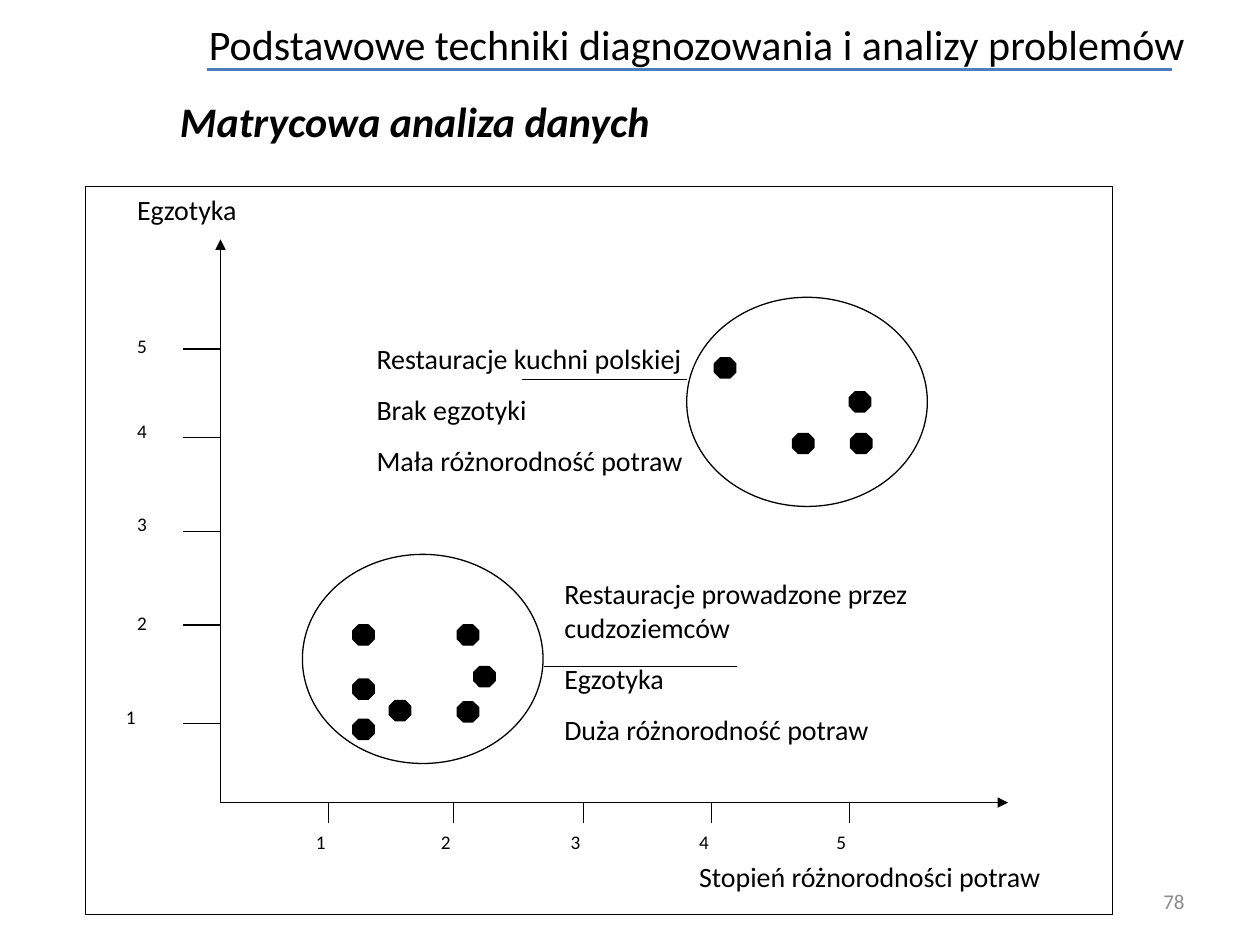
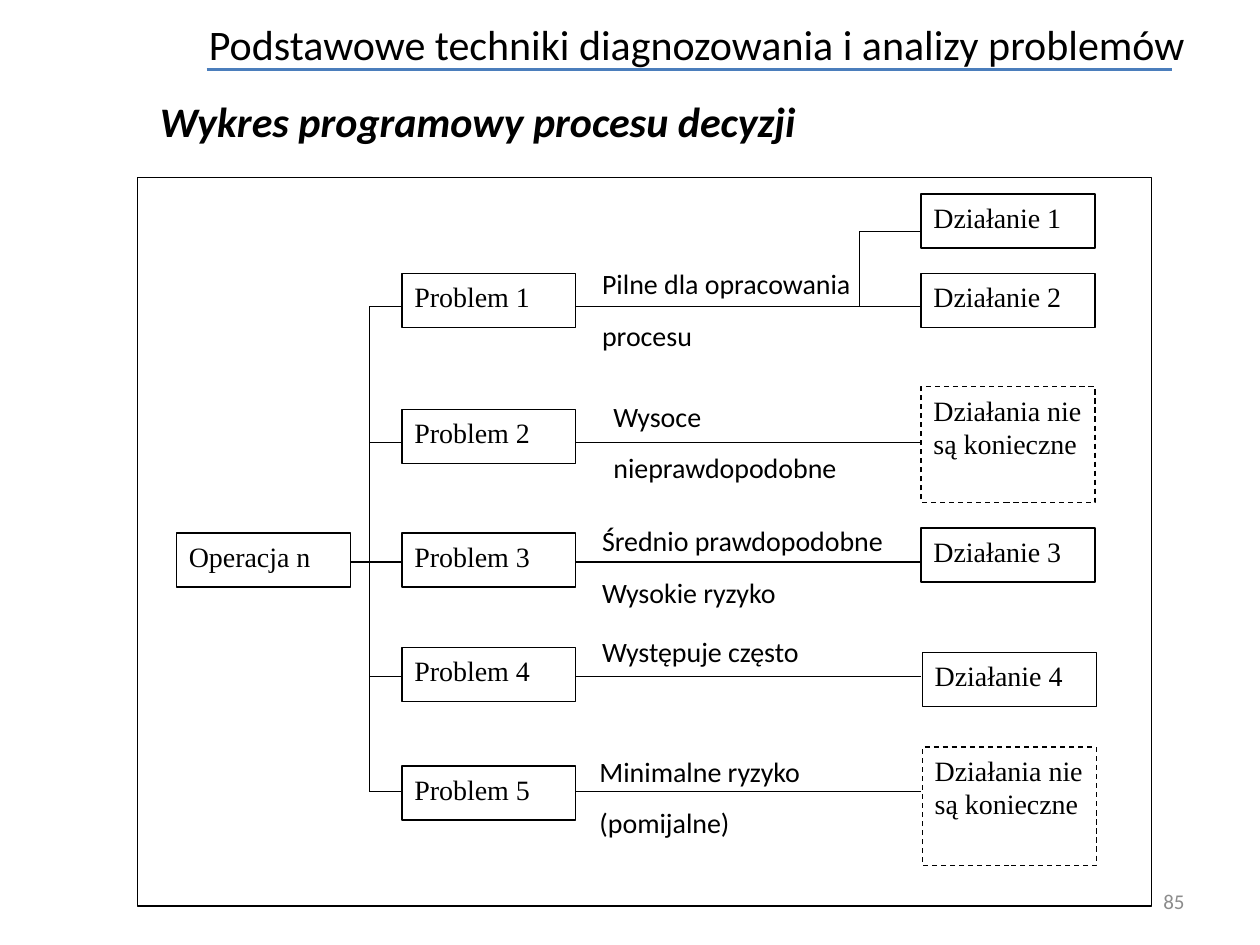
from pptx import Presentation
from pptx import util as u
from pptx.dml.color import RGBColor
from pptx.enum import dml, shapes, text
from pptx.oxml.ns import qn
from lxml import etree

BLACK, WHITE, BLUE, GREY = "000000", "FFFFFF", "4B7EBC", "8C8C8C"
SANS, SERIF = "Calibri", "Times New Roman"
SHAPE = shapes.MSO_SHAPE
HEADER = "Podstawowe techniki diagnozowania i analizy problemów"


def color(hex_code):
    return RGBColor.from_string(hex_code)


def inches(*values):
    return [u.Inches(v) for v in values]


def write(tf, lines, size=16, font=SANS, fill=BLACK, bold=False, italic=False,
          align=text.PP_ALIGN.LEFT, anchor=text.MSO_ANCHOR.TOP, after=0):
    """Put one paragraph per line into a text frame."""
    tf.word_wrap = True
    tf.vertical_anchor = anchor
    for i, line in enumerate(lines):
        p = tf.paragraphs[0] if i == 0 else tf.add_paragraph()
        p.alignment = align
        p.space_after = u.Pt(after)
        r = p.add_run()
        r.text = line
        r.font.size = u.Pt(size)
        r.font.name = font
        r.font.bold = bold
        r.font.italic = italic
        r.font.color.rgb = color(fill)


def add_text(s, x, y, w, h, *lines, **style):
    sp = s.shapes.add_textbox(*inches(x, y, w, h))
    write(sp.text_frame, lines, **style)


def add_box(s, kind, x, y, w, h, fill=WHITE, dashed=False):
    sp = s.shapes.add_shape(kind, *inches(x, y, w, h))
    sp.shadow.inherit = False
    sp.fill.solid()
    sp.fill.fore_color.rgb = color(fill)
    sp.line.color.rgb = color(BLACK)
    sp.line.width = u.Pt(0.75)
    if dashed:
        sp.line.dash_style = dml.MSO_LINE.DASH
    return sp


def add_line(s, x1, y1, x2, y2, stroke=BLACK, width=0.75, arrow=False):
    sp = s.shapes.add_connector(shapes.MSO_CONNECTOR.STRAIGHT,
                                *inches(x1, y1, x2, y2))
    sp.line.color.rgb = color(stroke)
    sp.line.width = u.Pt(width)
    if arrow:
        etree.SubElement(sp.line._get_or_add_ln(), qn("a:tailEnd"), type="triangle")
    etree.SubElement(sp._element.spPr, qn("a:effectLst"))


def add_page(prs, subtitle, subtitle_x, number):
    """Blank slide with header, rule, subtitle and page number."""
    s = prs.slides.add_slide(prs.slide_layouts[6])
    add_line(s, 1.64, 0.55, 9.3, 0.55, stroke=BLUE, width=2)
    add_text(s, 1.56, 0, 8.44, 0.7, HEADER, size=24,
             anchor=text.MSO_ANCHOR.MIDDLE)
    add_text(s, subtitle_x, 0.71, 10 - subtitle_x, 0.5, subtitle, size=24,
             bold=True, italic=True)
    add_text(s, 7.17, 6.95, 2.33, 0.4, number, size=12, fill=GREY,
             align=text.PP_ALIGN.RIGHT, anchor=text.MSO_ANCHOR.MIDDLE)
    return s


def add_axes(s, x, y):
    """Arrows, ticks, numbers and titles of the matrix."""
    ox, oy = x + 1.07, y + 4.89
    add_line(s, ox, oy, ox, y + 0.42, arrow=True)
    add_line(s, ox, oy, x + 7.32, oy, arrow=True)
    for n, dx in enumerate([1.93, 2.92, 3.95, 4.97, 6.06], 1):
        add_line(s, x + dx, oy, x + dx, oy + 0.16)
        add_text(s, x + dx - 0.2, y + 5.06, 0.4, 0.32, str(n), size=11, after=10)
    y_ticks = [(4.26, 4.07), (3.48, 3.32), (2.74, 2.54), (1.99, 1.8), (1.29, 1.12)]
    for n, (tick, label) in enumerate(y_ticks, 1):
        add_line(s, ox - 0.3, y + tick, ox, y + tick)
        label_x = 0.22 if n == 1 else 0.31
        add_text(s, x + label_x, y + label, 0.4, 0.32, str(n), size=11, after=10)
    add_text(s, x + 0.31, y, 1.3, 0.41, "Egzotyka", after=10)
    add_text(s, x + 4.77, y + 5.29, 3.31, 0.39, "Stopień różnorodności potraw",
             after=10)


def add_cluster(s, x, y, dots):
    """Ellipse with data points placed from its top left corner."""
    add_box(s, SHAPE.OVAL, x, y, 1.91, 1.66)
    for dx, dy in dots:
        add_box(s, SHAPE.OCTAGON, x + dx, y + dy, 0.17, 0.16, fill=BLACK)


def add_matrix(s, x, y, w, h):
    add_box(s, SHAPE.RECTANGLE, x, y, w, h)
    add_axes(s, x, y)
    add_cluster(s, x + 1.72, y + 2.92,
                [(0.4, 0.56), (0.4, 0.99), (0.4, 1.31), (0.69, 1.16),
                 (1.23, 0.56), (1.36, 0.89), (1.23, 1.17)])
    add_cluster(s, x + 4.77, y + 0.88,
                [(0.22, 0.48), (1.29, 0.75), (1.3, 1.08), (0.84, 1.08)])
    # Leader lines and captions
    add_line(s, x + 3.64, y + 3.81, x + 5.17, y + 3.81)
    add_line(s, x + 4.77, y + 1.53, x + 3.46, y + 1.53)
    add_text(s, x + 3.7, y + 3.05, 3.31, 1.08,
             "Restauracje prowadzone przez cudzoziemców", "Egzotyka",
             "Duża różnorodność potraw", after=10)
    add_text(s, x + 2.21, y + 1.18, 3.31, 1.08, "Restauracje kuchni polskiej",
             "Brak egzotyki", "Mała różnorodność potraw", after=10)


def add_node(s, x, y, label, h=0.43, dashed=False):
    sp = add_box(s, SHAPE.RECTANGLE, x, y, 1.38, h, dashed=dashed)
    write(sp.text_frame, [label], font=SERIF)


def add_decision_tree(s, x, y, w, h):
    add_box(s, SHAPE.RECTANGLE, x, y, w, h)
    spine, problem_x, action_x, branch = x + 1.84, x + 2.1, x + 6.22, x + 5.73

    # Operation and actions
    add_node(s, x + 0.31, y + 2.82, "Operacja n")
    for n, dy, dx in [(1, 0.13, 0), (2, 0.76, 0), (3, 2.78, 0), (4, 3.77, 0.01)]:
        add_node(s, action_x + dx, y + dy, f"Działanie {n}")
    for dy, dx, height in [(1.66, 0, 0.92), (4.52, 0.01, 0.94)]:
        add_node(s, action_x + dx, y + dy, "Działania nie są konieczne",
                 h=height, dashed=True)

    # Problems: box top, wire height, note position and width, note lines
    problems = [
        (0.76, 1.02, 3.59, 0.66, 2.41, ["Pilne dla opracowania", "procesu"]),
        (1.84, 2.1, 3.68, 1.71, 2.04, ["Wysoce", "nieprawdopodobne"]),
        (2.82, 3.05, 3.59, 2.7, 2.56, ["Średnio prawdopodobne", "Wysokie ryzyko"]),
        (3.73, 3.96, 3.59, 3.58, 2.04, ["Występuje często"]),
        (4.67, 4.87, 3.57, 4.53, 2.04, ["Minimalne ryzyko", "(pomijalne)"]),
    ]
    for n, (top, wire, nx, ny, nw, note) in enumerate(problems, 1):
        add_node(s, problem_x, y + top, f"Problem {n}")
        add_line(s, spine, y + wire, problem_x, y + wire)
        add_line(s, problem_x + 1.38, y + wire, action_x, y + wire)
        add_text(s, x + nx, y + ny, nw, 0.6, *note, after=10)

    # Spine, its link to the operation, and the branch to the first action
    add_line(s, spine, y + 1.02, spine, y + 4.87)
    add_line(s, x + 1.69, y + 3.05, spine, y + 3.05)
    add_line(s, branch, y + 1.02, branch, y + 0.43)
    add_line(s, branch, y + 0.43, action_x, y + 0.43)


def main():
    prs = Presentation()
    prs.slide_width, prs.slide_height = inches(10, 7.5)
    s = add_page(prs, "Matrycowa analiza danych", 1.33, "78")
    add_matrix(s, 0.68, 1.48, 8.15, 5.78)
    s = add_page(prs, "Wykres programowy procesu decyzji", 1.17, "85")
    add_decision_tree(s, 1.09, 1.41, 8.05, 5.78)
    prs.save("out.pptx")


if __name__ == "__main__":
    main()
